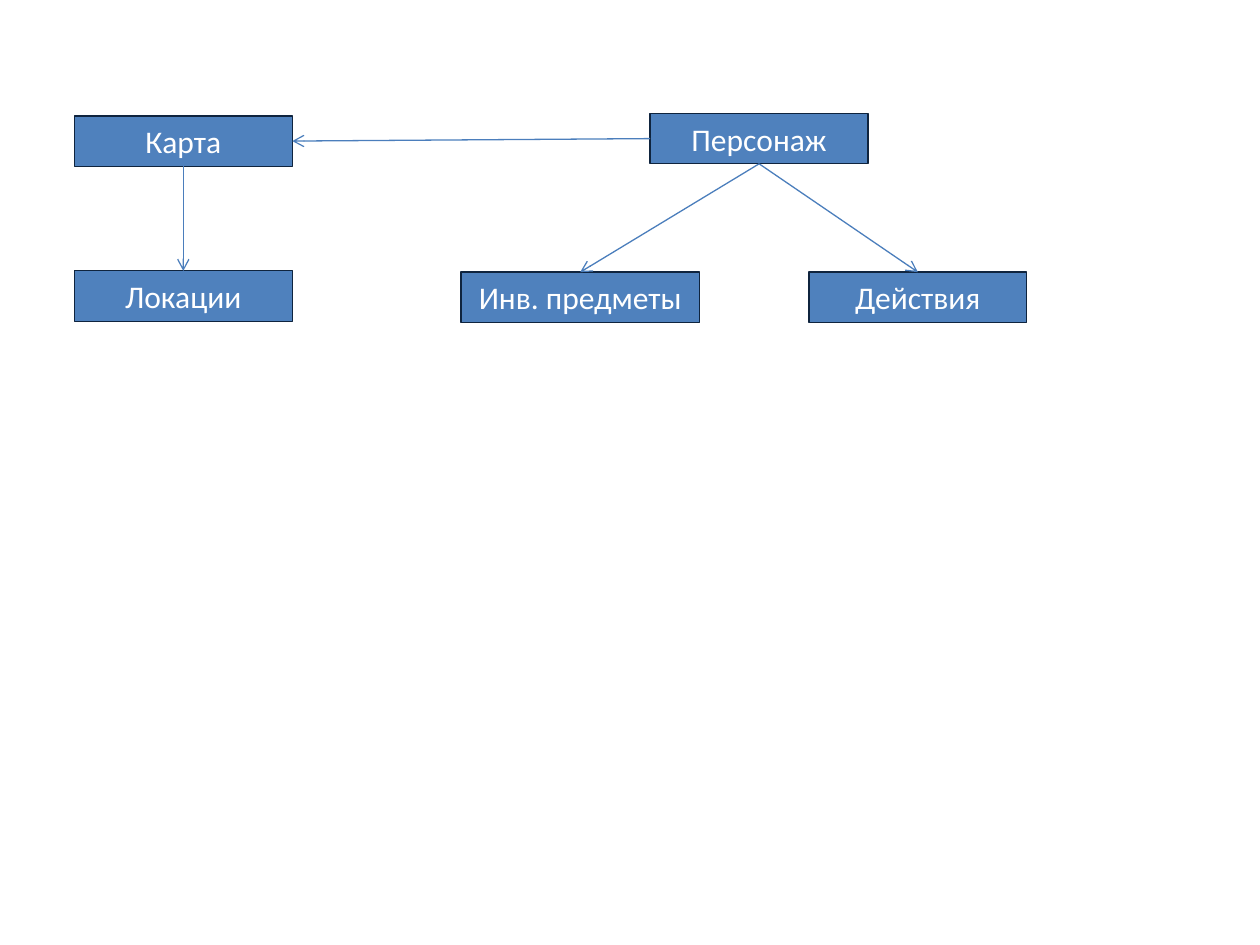
"""Build a slide with a small diagram of game entities and their links."""
from lxml import etree
from pptx import Presentation, util as u
from pptx.dml.color import RGBColor
from pptx.enum import shapes, text
from pptx.oxml.ns import qn

WIDE, HIGH = 10, 7.5
BOX_W, BOX_H = 1.73, 0.4
TOP, LEFT, BOTTOM, RIGHT = range(4)
FILL, EDGE, LINK, INK = "4F81BD", "0F243E", "4B7EBC", "FFFFFF"

BOXES = {
    "Карта": (0.59, 0.92, BOX_W),
    "Персонаж": (5.16, 0.9, BOX_W),
    "Локации": (0.59, 2.15, BOX_W),
    "Инв. предметы": (3.66, 2.16, 1.89),
    "Действия": (6.42, 2.16, BOX_W),
}
LINKS = [
    ("Персонаж", BOTTOM, "Инв. предметы", TOP),
    ("Персонаж", BOTTOM, "Действия", TOP),
    ("Персонаж", LEFT, "Карта", RIGHT),
    ("Карта", BOTTOM, "Локации", TOP),
]


def paint(hue):
    return RGBColor.from_string(hue)


def add_box(slide, label, left, top, width):
    box = slide.shapes.add_shape(
        shapes.MSO_SHAPE.RECTANGLE,
        *map(u.Inches, (left, top, width, BOX_H)))
    box.shadow.inherit = False
    box.fill.solid()
    box.fill.fore_color.rgb = paint(FILL)
    box.line.color.rgb = paint(EDGE)
    box.line.width = u.Pt(0.75)
    frame = box.text_frame
    frame.word_wrap = True
    frame.auto_size = text.MSO_AUTO_SIZE.SHAPE_TO_FIT_TEXT
    frame.vertical_anchor = text.MSO_ANCHOR.TOP
    para = frame.paragraphs[0]
    para.alignment = text.PP_ALIGN.CENTER
    run = para.add_run()
    run.text = label
    run.font.name = "Calibri"
    run.font.size = u.Pt(18)
    run.font.color.rgb = paint(INK)
    return box


def add_link(slide, start, out, end, into):
    link = slide.shapes.add_connector(
        shapes.MSO_CONNECTOR.STRAIGHT, 0, 0, 0, 0)
    link.begin_connect(start, out)
    link.end_connect(end, into)
    link.line.color.rgb = paint(LINK)
    link.line.width = u.Pt(0.75)
    etree.SubElement(link.line._get_or_add_ln(), qn("a:tailEnd"), type="arrow")
    etree.SubElement(link._element.spPr, qn("a:effectLst"))


def main():
    deck = Presentation()
    deck.slide_width, deck.slide_height = u.Inches(WIDE), u.Inches(HIGH)
    slide = deck.slides.add_slide(deck.slide_layouts[6])
    nodes = {label: add_box(slide, label, *spot)
             for label, spot in BOXES.items()}
    for start, out, end, into in LINKS:
        add_link(slide, nodes[start], out, nodes[end], into)
    deck.save("out.pptx")


if __name__ == "__main__":
    main()
